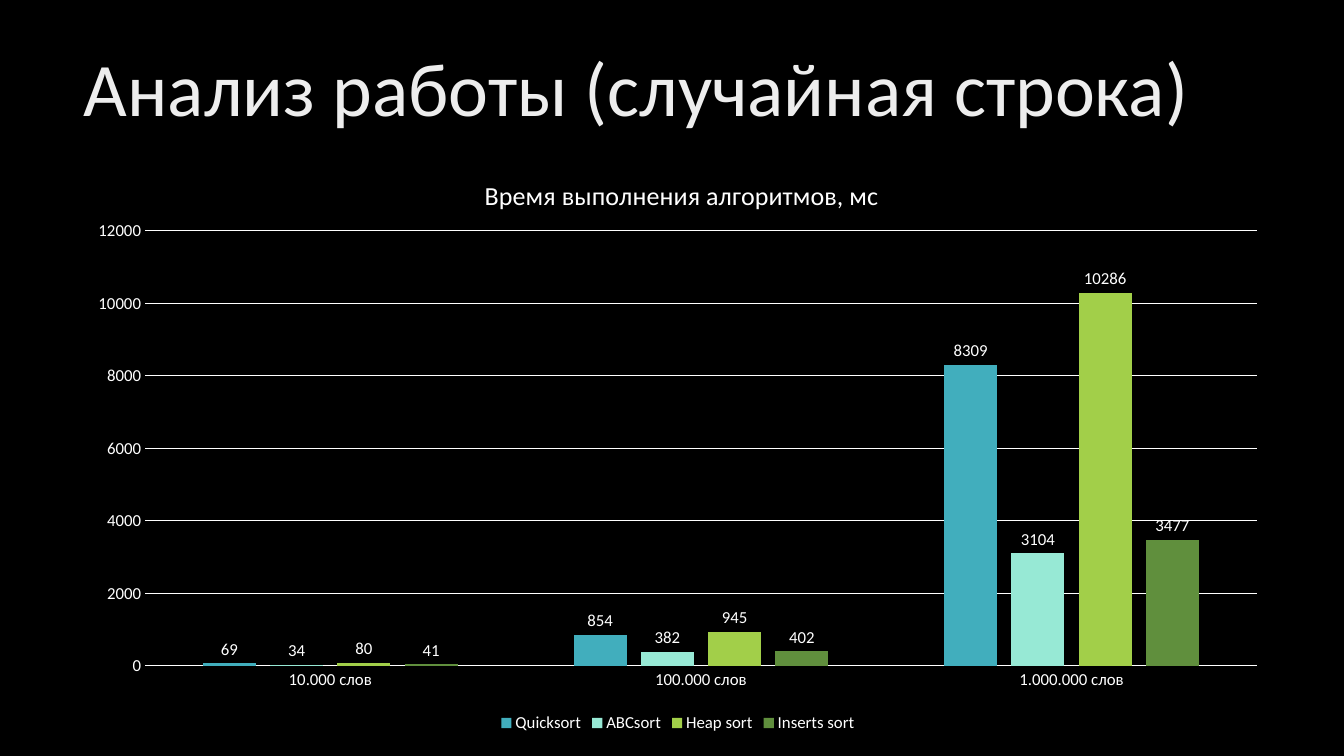
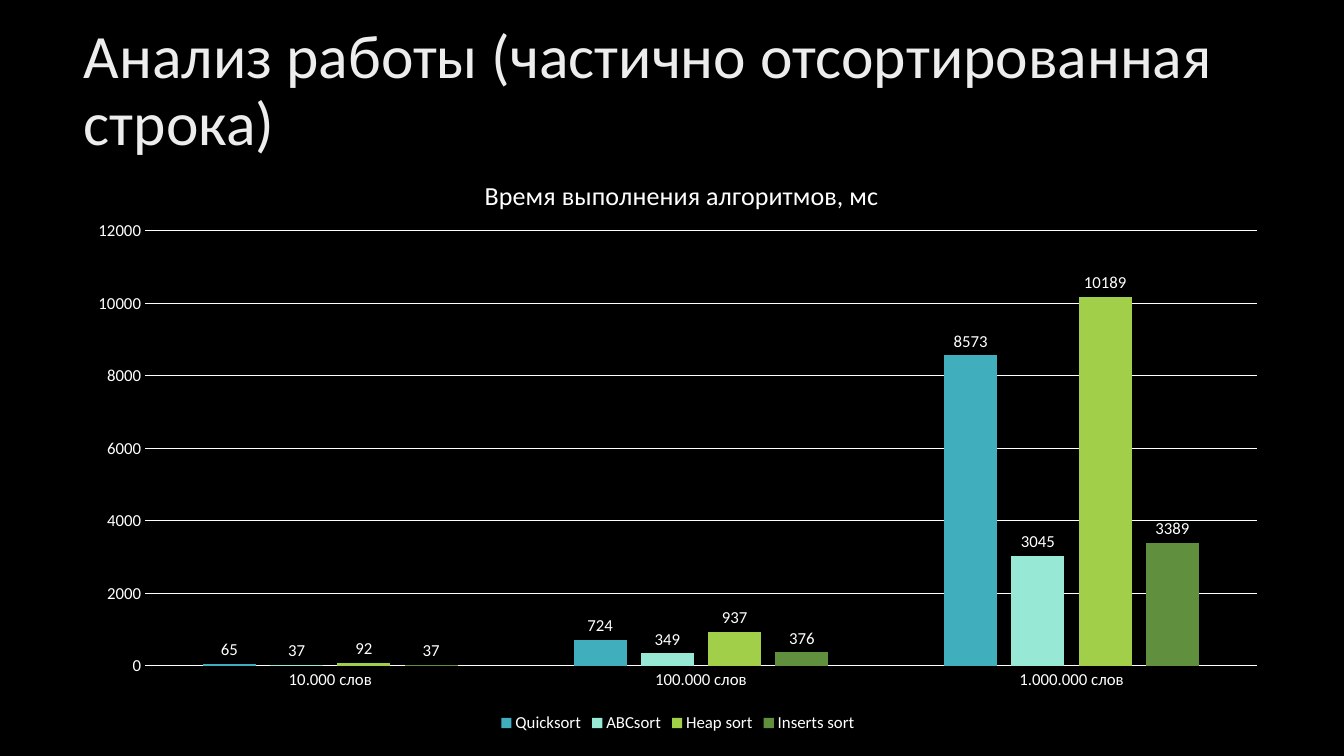
from pptx import Presentation
from pptx import util as u
from pptx.chart.data import CategoryChartData
from pptx.dml.color import RGBColor
from pptx.enum import chart as ch, text
from pptx.oxml import parse_xml
from pptx.oxml.ns import nsdecls

SIZES = ["10.000 слов", "100.000 слов", "1.000.000 слов"]
SORTS = {
    "Quicksort": "41AEBD",
    "ABCsort": "97E9D5",
    "Heap sort": "A2CF49",
    "Inserts sort": "608F3D",
}
SLIDES = [
    ("Анализ работы (случайная строка)", 54, 1159,
     [(69, 854, 8309), (34, 382, 3104), (80, 945, 10286), (41, 402, 3477)]),
    ("Анализ работы (частично отсортированная строка)", 44, 1270,
     [(65, 724, 8573), (37, 349, 3045), (92, 937, 10189), (37, 376, 3389)]),
]


def px(n):
    return u.Inches(n / 100.8)


def color(code):
    return RGBColor.from_string(code)


class Deck:
    face = "Calibri"
    back = "000000"
    ink = "FFFFFF"
    head = "EDEDED"
    area = (74, 149, 1208, 588)

    def __init__(self):
        self.prs = Presentation()
        self.prs.slide_width, self.prs.slide_height = px(1344), px(756)

    def add(self):
        self.slide = self.prs.slides.add_slide(self.prs.slide_layouts[6])
        fill = self.slide.background.fill
        fill.solid()
        fill.fore_color.rgb = color(self.back)

    def font(self, font, size, code):
        font.name = self.face
        font.size = u.Pt(size)
        font.bold = False
        font.color.rgb = color(code)

    def title(self, words, size, width):
        box = self.slide.shapes.add_textbox(px(74), px(19), px(width), px(146))
        frame = box.text_frame
        frame.word_wrap = True
        frame.vertical_anchor = text.MSO_ANCHOR.MIDDLE
        para = frame.paragraphs[0]
        para.text = words
        para.line_spacing = 0.9
        self.font(para.font, size, self.head)

    def line(self, form):
        form.line.color.rgb = color(self.ink)
        form.line.width = u.Pt(0.75)

    def place(self, node, index, left, top, size=None):
        for old in node.xpath("c:layout"):
            node.remove(old)
        x, y, wide, high = self.area
        parts = {"x": (left - x) / wide, "y": (top - y) / high}
        if size:
            parts.update(w=size[0] / wide, h=size[1] / high)
        target = '<c:layoutTarget val="inner"/>' if size else ""
        modes = "".join(f'<c:{k}Mode val="edge"/>' for k in "xy")
        vals = "".join(f'<c:{k} val="{v:.4f}"/>' for k, v in parts.items())
        node.insert(index, parse_xml(
            f'<c:layout {nsdecls("c")}><c:manualLayout>{target}{modes}{vals}'
            "</c:manualLayout></c:layout>"))

    def chart(self, name, rows):
        data = CategoryChartData()
        data.categories = SIZES
        for sort, row in zip(SORTS, rows):
            data.add_series(sort, row)
        chart = self.slide.shapes.add_chart(
            ch.XL_CHART_TYPE.COLUMN_CLUSTERED, *map(px, self.area), data).chart
        self.font(chart.font, 12, self.ink)

        chart.has_title = True
        para = chart.chart_title.text_frame.paragraphs[0]
        para.text = name
        self.font(para.font, 18.6, self.ink)
        root = chart.element
        self.place(root.xpath("c:chart/c:title")[0], 1, 480, 172)
        self.place(root.xpath("c:chart/c:plotArea")[0], 0, 145, 231, (1112, 435))

        chart.has_legend = True
        chart.legend.position = ch.XL_LEGEND_POSITION.BOTTOM
        chart.legend.include_in_layout = False
        self.font(chart.legend.font, 12, self.ink)

        for axis in (chart.category_axis, chart.value_axis):
            axis.major_tick_mark = axis.minor_tick_mark = ch.XL_TICK_MARK.NONE
            self.font(axis.tick_labels.font, 12, self.ink)
        self.line(chart.category_axis.format)
        scale = chart.value_axis
        scale.minimum_scale, scale.maximum_scale, scale.major_unit = 0, 12000, 2000
        scale.format.line.fill.background()
        self.line(scale.major_gridlines.format)

        plot = chart.plots[0]
        plot.gap_width, plot.overlap = 219, -27
        plot.vary_by_categories = False
        plot.has_data_labels = True
        labels = plot.data_labels
        labels.show_value = True
        labels.position = ch.XL_LABEL_POSITION.OUTSIDE_END
        self.font(labels.font, 12, self.ink)
        for bars, code in zip(plot.series, SORTS.values()):
            bars.format.fill.solid()
            bars.format.fill.fore_color.rgb = color(code)


def main():
    deck = Deck()
    for words, size, width, rows in SLIDES:
        deck.add()
        deck.title(words, size, width)
        deck.chart("Время выполнения алгоритмов, мс", rows)
    deck.prs.save("out.pptx")


if __name__ == "__main__":
    main()
